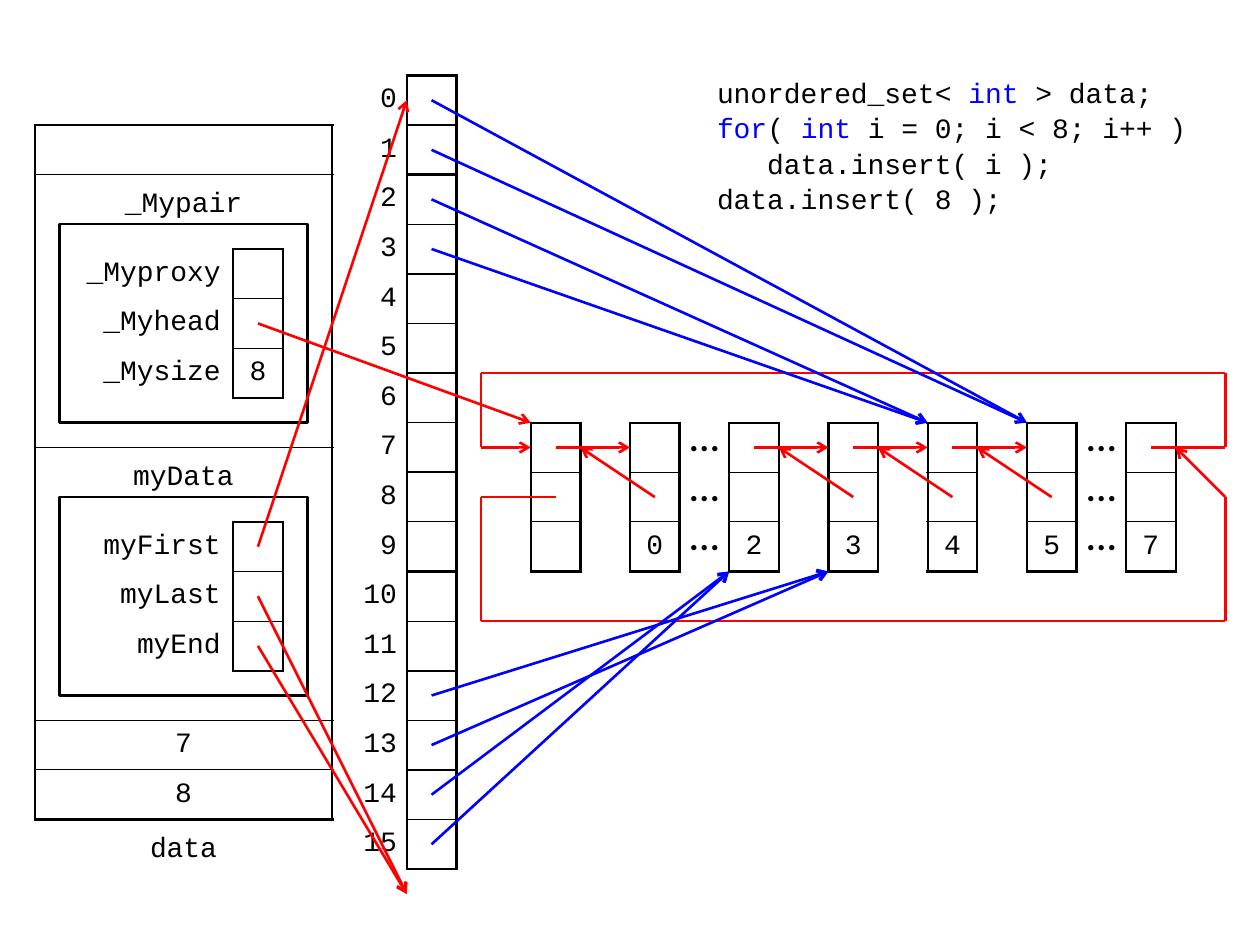
from dataclasses import dataclass
from itertools import pairwise

from lxml.etree import SubElement as Sub
from pptx import Presentation
from pptx.dml.color import RGBColor as RGB
from pptx.enum.shapes import MSO_CONNECTOR as Conn, MSO_SHAPE as Shape
from pptx.enum.text import MSO_ANCHOR as Anchor, PP_ALIGN as Align
from pptx.oxml.ns import qn
from pptx.util import Cm, Inches, Pt

NO_GRID = "{2D5ABB26-0587-4C30-8999-92F81FD0307C}"


@dataclass(frozen=True)
class Theme:
    ink: str = "000000"
    paper: str = "FFFFFF"
    link: str = "FF0000"
    jump: str = "0000FF"
    mono: str = "Courier New"
    sign: str = "Cambria"
    size: int = 16
    big: int = 18
    thick: float = 1.5
    thin: float = 0.75


def apply(obj, form):
    for key, val in form.items():
        setattr(obj, key, val)


class Board:
    """Draws on a grid of 1 cm squares."""
    left, top = 0.7, 1.52

    def __init__(self, slide, theme):
        self.slide, self.theme = slide, theme
        self.shapes = slide.shapes

    def spot(self, x, y):
        return Cm(self.left + x), Cm(self.top + y)

    def put(self, para, text, color=None, dots=False):
        t = self.theme
        run = para.add_run()
        run.text = text
        apply(run.font, {"name": t.sign if dots else t.mono,
                         "size": Pt(t.big if dots else t.size),
                         "bold": dots})
        run.font.color.rgb = RGB.from_string(color or t.ink)

    def sample(self, x, y, w, h, lines):
        box = self.slide.placeholders[1]
        pos = self.spot(x, y)
        apply(box, {"left": pos[0], "top": pos[1],
                    "width": Cm(w), "height": Cm(h)})
        frame = box.text_frame
        apply(frame, {"margin_top": 0, "margin_bottom": 0,
                      "word_wrap": True, "vertical_anchor": Anchor.TOP})
        for i, line in enumerate(lines):
            para = frame.add_paragraph() if i else frame.paragraphs[0]
            apply(para, {"space_before": Pt(1), "space_after": Pt(0),
                         "line_spacing": 1.0, "alignment": Align.LEFT})
            prop = para._p.get_or_add_pPr()
            prop.set("marL", "0")
            prop.set("indent", "0")
            Sub(prop, qn("a:buNone"))
            for text, color in line:
                self.put(para, text, color)

    def label(self, x, y, w, text):
        box = self.shapes.add_textbox(*self.spot(x, y), Cm(w), Cm(1))
        frame = box.text_frame
        apply(frame, {"word_wrap": True, "vertical_anchor": Anchor.BOTTOM})
        frame.paragraphs[0].alignment = Align.CENTER
        self.put(frame.paragraphs[0], text)

    def frame(self, x, y, w, h):
        box = self.shapes.add_shape(Shape.RECTANGLE, *self.spot(x, y),
                                    Cm(w), Cm(h))
        box.shadow.inherit = False
        box.fill.solid()
        box.fill.fore_color.rgb = RGB.from_string(self.theme.paper)
        box.line.color.rgb = RGB.from_string(self.theme.ink)
        box.line.width = Pt(self.theme.thick)

    def line(self, *spots, color=None, arrow=True):
        for a, b in pairwise(spots):
            wire = self.shapes.add_connector(Conn.STRAIGHT, *self.spot(*a),
                                             *self.spot(*b))
            wire.line.color.rgb = RGB.from_string(color or self.theme.link)
            wire.line.width = Pt(self.theme.thick)
            prop = wire._element.spPr
            if arrow:
                Sub(prop.find(qn("a:ln")), qn("a:tailEnd"), type="arrow")
            Sub(prop, qn("a:effectLst"))

    def edge(self, cell, sides):
        prop = cell._tc.get_or_add_tcPr()
        for side in "LRTB":
            if side in sides:
                ln = Sub(prop, qn("a:ln" + side), w=str(int(Pt(sides[side]))))
                fill = Sub(ln, qn("a:solidFill"))
                Sub(fill, qn("a:srgbClr"), val=self.theme.ink)

    def grid(self, x, y, cols, rows, data, step=None, pad=0.0, dots=False):
        """The last column is boxed, with a thick rule at every step rows."""
        t, step = self.theme, step or len(rows)
        table = self.shapes.add_table(len(rows), len(cols), *self.spot(x, y),
                                      Cm(sum(cols)), Cm(sum(rows))).table
        apply(table, {"first_row": False, "horz_banding": False})
        table._tbl.tblPr.find(qn("a:tableStyleId")).text = NO_GRID
        for col, w in zip(table.columns, cols):
            col.width = Cm(w)
        for row, h in zip(table.rows, rows):
            row.height = Cm(h)
        for r, texts in enumerate(data):
            rule = [t.thin if n % step else t.thick for n in (r, r + 1)]
            for c, text in enumerate(texts):
                cell, last = table.cell(r, c), c == len(cols) - 1
                apply(cell, {"margin_left": 0,
                             "margin_right": 0 if last else Cm(pad),
                             "margin_top": Cm(0.1), "margin_bottom": Cm(0.1),
                             "vertical_anchor": Anchor.MIDDLE})
                if not last:
                    self.edge(cell, {"R": t.thick})
                elif not dots:
                    self.edge(cell, {"L": t.thick, "R": t.thick,
                                     "T": rule[0], "B": rule[1]})
                cell.fill.background()
                para = cell.text_frame.paragraphs[0]
                para.alignment = Align.CENTER if last else Align.RIGHT
                if text:
                    self.put(para, text, dots=dots)


def main():
    deck = Presentation()
    apply(deck, {"slide_width": Inches(10), "slide_height": Inches(7.5)})
    slide = deck.slides.add_slide(deck.slide_layouts[1])
    title = slide.shapes.title._element
    title.getparent().remove(title)
    t = Theme()
    b = Board(slide, t)
    three = [1] * 3

    # Code sample
    b.sample(13.5, 0, 10, 3, [
        [("unordered_set< ", t.ink), ("int", t.jump), (" > data;", t.ink)],
        [("for", t.jump), ("( ", t.ink), ("int ", t.jump),
         ("i = 0; i < 8; i++ )", t.ink)],
        [("   data.insert( i );", t.ink)],
        [("data.insert( 8 );", t.ink)]])

    # List nodes and the gaps between them
    for i, key in enumerate(["", "0", "2", "3", "4", "5", "7"]):
        b.grid(10 + 2 * i, 7, [1], three, [[""], [""], [key]])
    for x in (13, 21):
        b.grid(x, 7, [1], three, [["⋯"]] * 3, dots=True)

    # Bucket vector
    b.grid(6, 0, [1.5, 1], [1] * 16, [[str(n), ""] for n in range(16)],
           step=2, pad=0.2)

    # Links between neighbours
    for x in (10, 14, 16, 18):
        b.line((x + 0.5, 7.5), (x + 2, 7.5))
        b.line((x + 2.5, 8.5), (x + 1, 7.5))

    # Links around the ring
    b.line((22.5, 7.5), (24, 7.5), (24, 6), (9, 6), (9, 7.5), arrow=False)
    b.line((9, 7.5), (10, 7.5))
    b.line((10.5, 8.5), (9, 8.5), (9, 11), (24, 11), (24, 8.5), arrow=False)
    b.line((24, 8.5), (23, 7.5))

    # Bucket pointers, two to each node
    for row, goal in {0: (20, 7), 2: (18, 7),
                      12: (16, 10), 14: (14, 10)}.items():
        for n in (row, row + 1):
            b.line((8, n + 0.5), goal, color=t.jump)

    # The container with its two members
    b.grid(0, 1, [6], [1, 5.5, 5.5, 1, 1], [[""], [""], [""], ["7"], ["8"]])
    b.label(2, 15, 2, "data")
    for y, name in ((3, "_Mypair"), (8.5, "myData")):
        b.frame(0.5, y, 5, 4)
        b.label(1.5, y - 1, 3, name)
    b.grid(0.5, 3.5, [3.5, 1], three, [["_Myproxy", ""], ["_Myhead", ""],
                                       ["_Mysize", "8"]], pad=0.25)
    b.grid(1, 9, [3, 1], three, [["myFirst", ""], ["myLast", ""],
                                 ["myEnd", ""]], pad=0.25)

    # Member pointers
    for y, goal in ((5, (10, 7)), (9.5, (7.5, 0.5)),
                    (10.5, (7.5, 16.5)), (11.5, (7.5, 16.5))):
        b.line((4.5, y), goal)

    deck.save("out.pptx")


if __name__ == "__main__":
    main()
